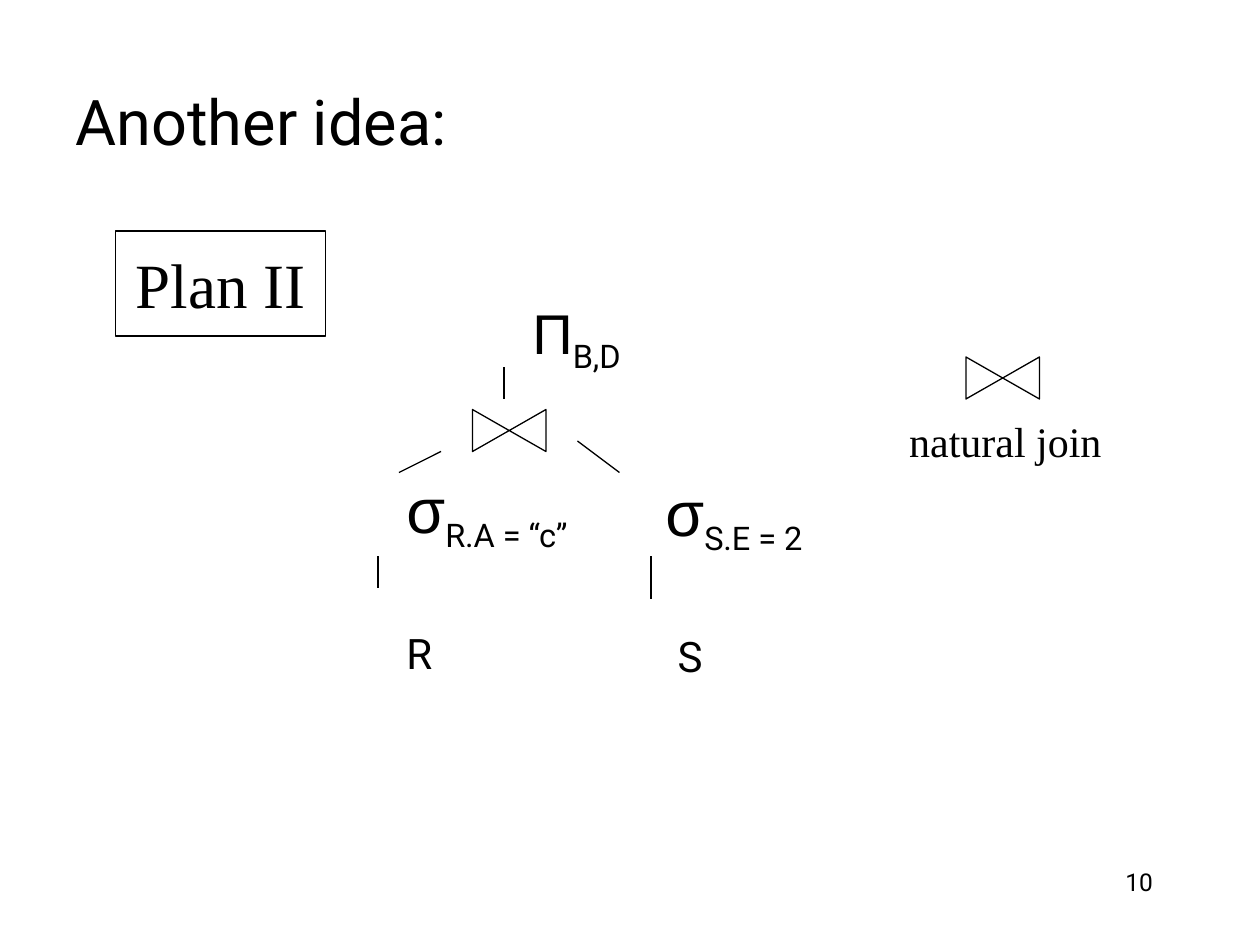
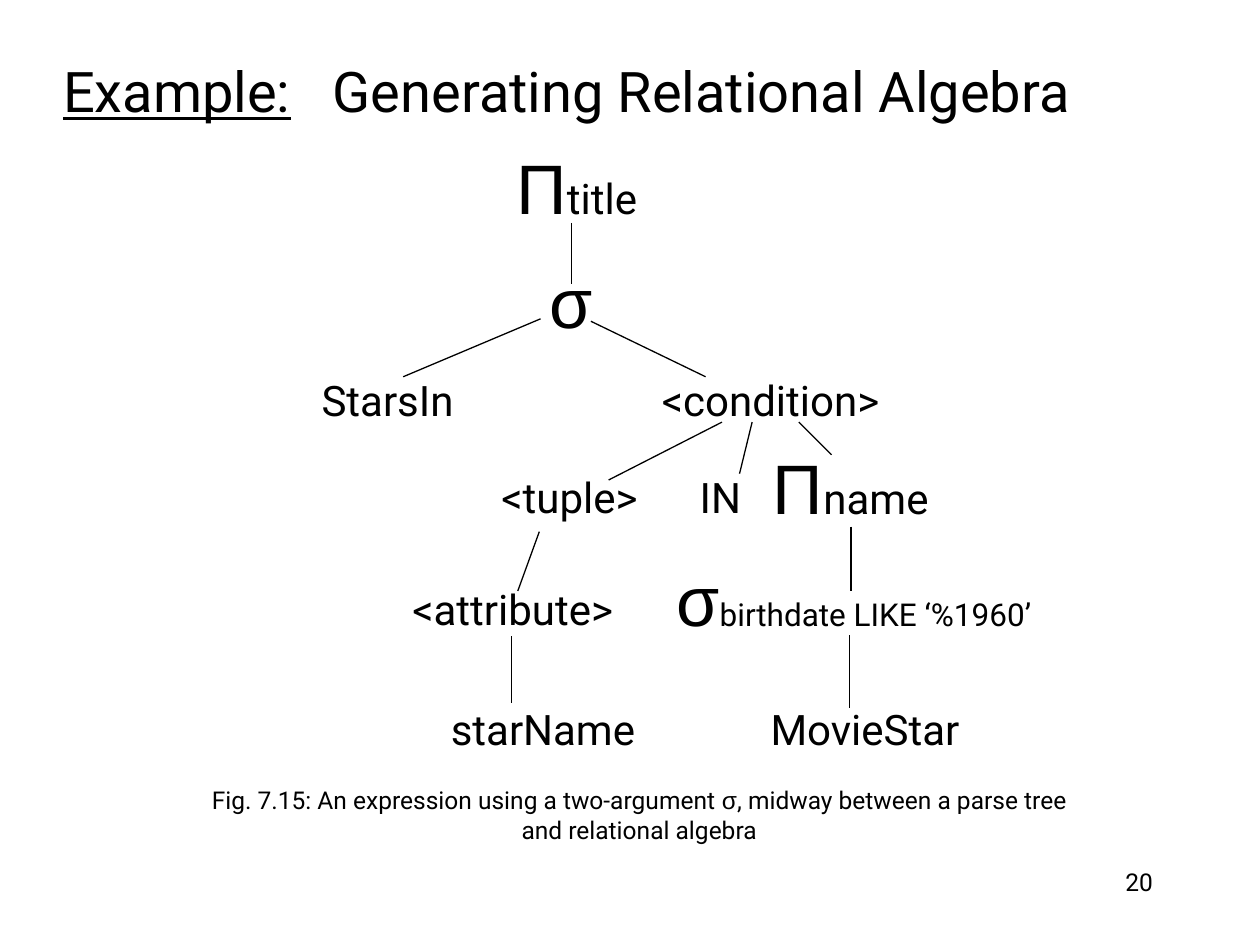
from lxml import etree
from pptx import Presentation
from pptx import util as u
from pptx.dml.color import RGBColor
from pptx.enum import shapes, text
from pptx.oxml import ns

Pt = u.Pt
BLACK = RGBColor(0, 0, 0)
WHITE = RGBColor(255, 255, 255)
SANS, GREEK, SERIF = "Roboto", "Arial", "Times New Roman"
LEFT, CENTER, RIGHT = text.PP_ALIGN.LEFT, text.PP_ALIGN.CENTER, text.PP_ALIGN.RIGHT
TOP, MIDDLE = text.MSO_ANCHOR.TOP, text.MSO_ANCHOR.MIDDLE


def add_run(paragraph, content, size=24, font=SANS, underline=False,
            subscript=False, spacing=0):
    run = paragraph.add_run()
    run.text = content
    run.font.size = Pt(size)
    run.font.name = font
    run.font.color.rgb = BLACK
    if underline:
        run.font.underline = True
    if subscript:
        run._r.get_or_add_rPr().set("baseline", "-25000")
    if spacing:
        run._r.get_or_add_rPr().set("spc", str(spacing * 100))


def symbol(letter, size=40):
    return letter, dict(size=size, font=GREEK)


class Deck:
    def __init__(self):
        self.file = Presentation()
        self.file.slide_width, self.file.slide_height = Pt(720), Pt(540)
        self.slide = None

    def start(self, layout, number):
        self.slide = self.file.slides.add_slide(self.file.slide_layouts.get_by_name(layout))
        self.text_box((516, 492, 150, 36), [(number, dict(size=14))], RIGHT, TOP)

    def set_frame(self, frame, anchor, wrap=True):
        frame.auto_size = text.MSO_AUTO_SIZE.NONE
        frame.word_wrap = wrap
        frame.vertical_anchor = anchor

    def set_paragraph(self, paragraph, runs, align=LEFT, before=0):
        paragraph.alignment = align
        paragraph.space_before = Pt(before)
        for content, style in runs:
            add_run(paragraph, content, **style)

    def place(self, shape, box):
        shape.left, shape.top, shape.width, shape.height = map(Pt, box)

    def title(self, box, *runs):
        heading = self.slide.shapes.title
        self.place(heading, box)
        self.set_frame(heading.text_frame, MIDDLE)
        self.set_paragraph(heading.text_frame.paragraphs[0], runs)

    def body(self, index, box, lines):
        holder = self.slide.placeholders[index]
        self.place(holder, box)
        frame = holder.text_frame
        self.set_frame(frame, TOP)
        for row, (runs, before, margin) in enumerate(lines):
            paragraph = frame.add_paragraph() if row else frame.paragraphs[0]
            properties = paragraph._p.get_or_add_pPr()
            properties.set("marL", str(Pt(margin)))
            properties.set("indent", "0")
            etree.SubElement(properties, ns.qn("a:buNone"))
            self.set_paragraph(paragraph, runs, before=before)

    def text_box(self, box, runs, align=CENTER, anchor=MIDDLE, wrap=True):
        frame = self.slide.shapes.add_textbox(*map(Pt, box)).text_frame
        self.set_frame(frame, anchor, wrap)
        self.set_paragraph(frame.paragraphs[0], runs, align)

    def label(self, x, y, *runs, width=200, height=36):
        box = (x - width / 2, y - height / 2, width, height)
        self.text_box(box, runs, wrap=False)

    def outline(self, kind, box):
        shape = self.slide.shapes.add_shape(kind, *map(Pt, box))
        shape.shadow.inherit = False
        shape.fill.solid()
        shape.fill.fore_color.rgb = WHITE
        shape.line.color.rgb = BLACK
        shape.line.width = Pt(0.75)
        return shape

    def framed_text(self, box, *runs):
        frame = self.outline(shapes.MSO_SHAPE.RECTANGLE, box).text_frame
        self.set_frame(frame, MIDDLE, wrap=False)
        self.set_paragraph(frame.paragraphs[0], runs, CENTER)

    def join_sign(self, x, y):
        box = (x - 12, y - 21, 24, 42)
        self.outline(shapes.MSO_SHAPE.FLOWCHART_COLLATE, box).rotation = 270

    def branches(self, ends):
        for points in ends:
            branch = self.slide.shapes.add_connector(
                shapes.MSO_CONNECTOR.STRAIGHT, *map(Pt, points))
            branch.line.color.rgb = BLACK
            branch.line.width = Pt(0.75)
            etree.SubElement(branch._element.spPr, ns.qn("a:effectLst"))


def build_plan(deck):
    deck.start("Two Content", "10")
    deck.title((36, 24, 612, 90), ("Another idea:", dict(size=36)))
    lowered = dict(size=32, subscript=True)
    deck.body(1, (225, 167, 148, 277), [
        ([symbol("Π", 32), ("B,D", lowered)], 0, 72),
        ([symbol("σ", 36), ("R.A = “c”", lowered)], 54.5, 0),
        ([("R", {})], 42, 0),
    ])
    deck.body(2, (373, 267, 148, 177), [
        ([symbol("σ", 36), ("S.E = 2", lowered)], 0, 0),
        ([("S", {})], 42, 7),
    ])
    deck.framed_text((66, 132, 120, 60), ("Plan II", dict(size=36, font=SERIF)))
    deck.join_sign(291, 246)
    deck.join_sign(573, 216)
    deck.label(574.5, 252, ("natural join", dict(font=SERIF)))
    deck.branches([
        (288, 210, 288, 228),
        (252, 258, 228, 270),
        (330, 252, 354, 270),
        (216, 318, 216, 336),
        (372, 318, 372, 342),
    ])


def build_algebra_tree(deck):
    deck.start("Title Only", "20")
    deck.title((28.8, 16.6, 659.5, 70),
               ("Example:", dict(size=32, underline=True)),
               (" ", dict(size=32, spacing=16)),
               ("Generating Relational Algebra", dict(size=32)))
    deck.label(329.6, 106.6, symbol("Π"), ("title", {}))
    deck.label(326.5, 171.7, symbol("σ"))
    name_row, birthdate_row, drop = 278, 342, 6
    deck.label(486.2, name_row, symbol("Π"), ("name", {}))
    deck.label(488, birthdate_row, symbol("σ"), ("birthdate LIKE ‘%1960’", dict(size=18)))
    for node, x, y in [
        ("StarsIn", 221.5, 228.2),
        ("<condition>", 440.3, 228.2),
        ("<tuple>", 325.4, name_row + drop),
        ("IN", 411.7, name_row + drop),
        ("<attribute>", 293, birthdate_row + drop),
        ("starName", 310.3, 416.2),
        ("MovieStar", 494.3, 416.2),
    ]:
        deck.label(x, y, (node, {}))
    deck.branches([
        (326.4, 127.4, 326.4, 162),
        (308.9, 182.2, 230.4, 215.3),
        (337.7, 183.6, 403.2, 215.3),
        (412.6, 241.2, 347.8, 274.3),
        (429.8, 241.2, 422.6, 270.7),
        (456.5, 241.2, 475.2, 259.9),
        (308.2, 303.8, 295.9, 337.7),
        (292.5, 363.6, 292.5, 401.8),
        (486.3, 301, 486.3, 337.7),
        (485.3, 362.9, 485.3, 404.6),
    ])
    small = dict(size=14)
    deck.text_box((105.8, 445, 519, 41), [
        ("Fig. 7.15: An expression using a two-argument ", small),
        symbol("σ", 14),
        (", midway between a parse tree and relational algebra", small),
    ])


def main():
    deck = Deck()
    build_plan(deck)
    build_algebra_tree(deck)
    deck.file.save("out.pptx")


if __name__ == "__main__":
    main()
